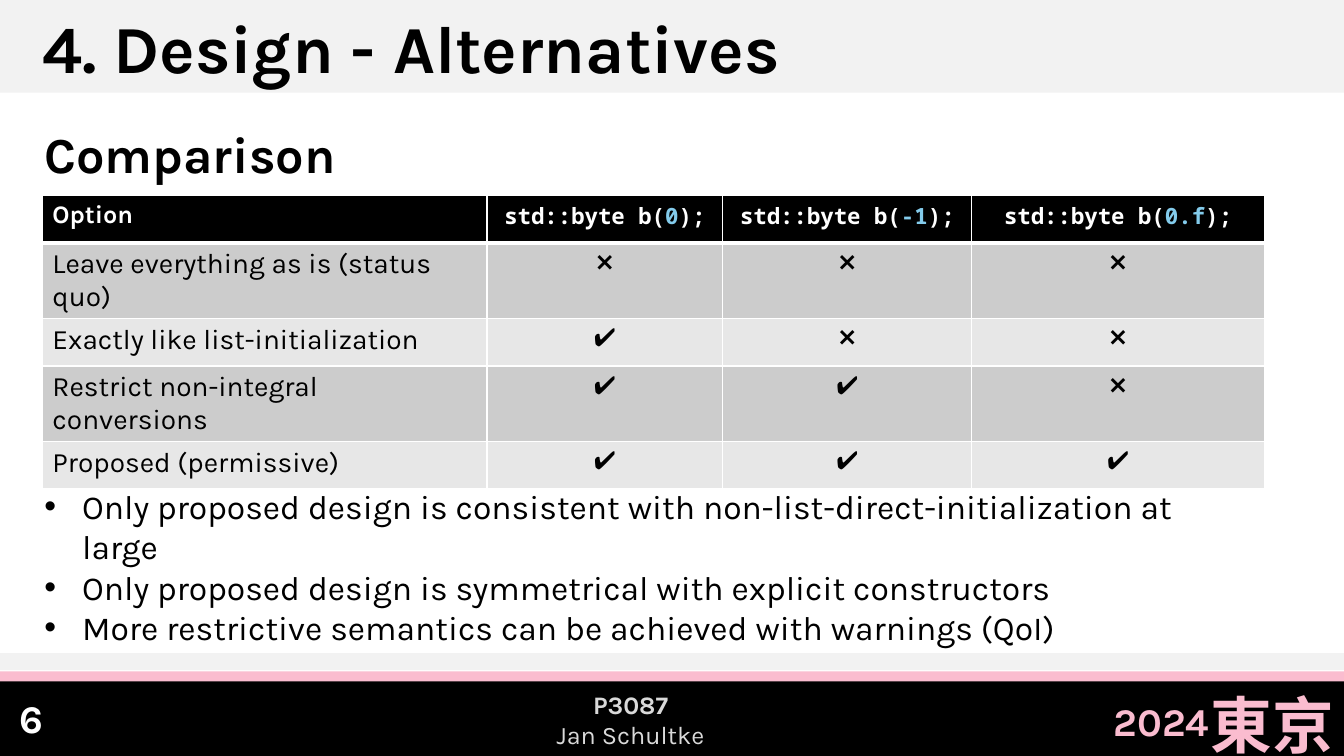
from lxml import etree
from pptx import Presentation
from pptx.dml.color import RGBColor
from pptx.enum.shapes import MSO_SHAPE
from pptx.enum.text import MSO_ANCHOR, MSO_AUTO_SIZE, PP_ALIGN
from pptx.oxml.ns import qn
from pptx.util import Inches, Pt

RECT = MSO_SHAPE.RECTANGLE
TOP, MID = MSO_ANCHOR.TOP, MSO_ANCHOR.MIDDLE
LEFT, MID_H, RIGHT = PP_ALIGN.LEFT, PP_ALIGN.CENTER, PP_ALIGN.RIGHT
FIXED = MSO_AUTO_SIZE.NONE

WIDE, HIGH = Inches(13.33), Inches(7.5)
SANS, MONO = "Karla", "Noto Sans Mono"
HUES = {
    "black": "000000", "white": "FFFFFF", "pink": "FABCCF", "pale": "F2F2F2",
    "dim": "D9D9D9", "sky": "83CBEB", "odd": "CCCCCC", "even": "E7E7E7",
}
NO, YES = "❌", "✔️"

# Bands as (hue, top, height), in percent of the slide height
BANDS = [("pale", 0, 12.27), ("black", 90, 10),
         ("pink", 88.8, 1.33), ("pale", 86.4, 2.27)]

# Table columns and rows, in percent of the slide
COLS = [33.08, 17.55, 18.53, 21.76]
ROW = 6.27
VALUES = ["0", "-1", "0.f"]
OPTIONS = [
    ("Leave everything as is (status quo)", 0),
    ("Exactly like list-initialization", 1),
    ("Restrict non-integral conversions", 2),
    ("Proposed (permissive)", 3),
]
POINTS = [
    "Only proposed design is consistent with non-list-direct-initialization at large",
    "Only proposed design is symmetrical with explicit constructors",
    "More restrictive semantics can be achieved with warnings (QoI)",
]


def hue(name):
    return RGBColor.from_string(HUES[name])


def span(x, y, w, h):
    """Turn percent of the slide into lengths."""
    return [round(side * part / 100)
            for side, part in zip((WIDE, HIGH, WIDE, HIGH), (x, y, w, h))]


def add_run(para, text, size, color="black", bold=False, name=SANS):
    run = para.add_run()
    run.text = text
    look = {"name": name, "size": Pt(size), "bold": bold}
    for key, value in look.items():
        setattr(run.font, key, value)
    run.font.color.rgb = hue(color)


def fill_text(frame, lines, align=LEFT, anchor=TOP):
    """Each line is a dict of run values."""
    look = {"word_wrap": True, "auto_size": FIXED, "vertical_anchor": anchor}
    for key, value in look.items():
        setattr(frame, key, value)
    for i, line in enumerate(lines):
        para = frame.add_paragraph() if i else frame.paragraphs[0]
        para.alignment, para.space_before = align, Pt(0)
        add_run(para, **line)


def add_text(slide, box, lines, **kind):
    fill_text(slide.shapes.add_textbox(*span(*box)).text_frame, lines, **kind)


def fill_holder(holder, box, lines):
    sides = ("left", "top", "width", "height")
    for key, value in zip(sides, span(*box)):
        setattr(holder, key, value)
    fill_text(holder.text_frame, lines)


def add_band(slide, color, top, height):
    band = slide.shapes.add_shape(RECT, *span(0, top, 100, height))
    band.shadow.inherit = False
    band.fill.solid()
    band.fill.fore_color.rgb = hue(color)
    band.line.fill.background()


def add_edges(cell, row):
    """Draw white cell borders, thick below the header."""
    widths = {"lnL": 1, "lnR": 1, "lnT": 3 if row == 1 else 1,
              "lnB": 1 if row else 3}
    props = cell._tc.get_or_add_tcPr()
    for i, (tag, width) in enumerate(widths.items()):
        edge = etree.Element(qn("a:" + tag), w=str(Pt(width)))
        solid = etree.SubElement(edge, qn("a:solidFill"))
        etree.SubElement(solid, qn("a:srgbClr"), val=HUES["white"])
        props.insert(i, edge)


def set_cell(table, row, col, runs):
    cell = table.cell(row, col)
    cell.fill.solid()
    shade = ("odd" if row % 2 else "even") if row else "black"
    cell.fill.fore_color.rgb = hue(shade)
    add_edges(cell, row)
    para = cell.text_frame.paragraphs[0]
    para.alignment = MID_H if col else LEFT
    for run in runs:
        add_run(para, **run)


def add_grid(slide):
    count = len(OPTIONS) + 1
    box = span(3.15, 25.87, sum(COLS), ROW * count)
    table = slide.shapes.add_table(count, len(COLS), *box).table
    for col, share in zip(table.columns, COLS):
        col.width = round(WIDE * share / 100)

    # Header
    set_cell(table, 0, 0, [dict(text="Option", size=18, color="white", bold=True)])
    for col, value in enumerate(VALUES, 1):
        parts = [("std::byte b(", "white"), (value, "sky"), (");", "white")]
        set_cell(table, 0, col, [
            dict(text=text, size=16, color=color, bold=True, name=MONO)
            for text, color in parts])

    # Options, with the number of leading check marks
    for row, (label, marks) in enumerate(OPTIONS, 1):
        set_cell(table, row, 0, [dict(text=label, size=20)])
        for col in range(1, len(COLS)):
            mark = YES if col <= marks else NO
            set_cell(table, row, col, [dict(text=mark, size=18)])


def main():
    deck = Presentation()
    deck.slide_width, deck.slide_height = WIDE, HIGH
    slide = deck.slides.add_slide(deck.slide_layouts[1])
    title, body = slide.placeholders

    # Bands lie behind the title and list
    for band in BANDS:
        add_band(slide, *band)
    for holder in (title, body):
        slide.shapes._spTree.append(holder._element)

    # Footer
    add_text(slide, (88.9, 90.13, 11.1, 11.2),
             [dict(text="東京", size=44, color="pink", bold=True)],
             align=RIGHT, anchor=MID)
    add_text(slide, (78.77, 91.6, 11.93, 7.6),
             [dict(text="2024", size=28, color="pink", bold=True)], align=RIGHT)
    add_text(slide, (0.75, 92.27, 3.38, 5.33),
             [dict(text="6", size=28, color="white", bold=True)], anchor=MID)
    add_text(slide, (10.95, 90.53, 71.94, 9.47),
             [dict(text="P3087", size=18, color="dim", bold=True),
              dict(text="Jan Schultke", size=18, color="dim")], align=MID_H)

    # Title, heading, list and table
    fill_holder(title, (2.4, 0.13, 86.57, 12.13),
                [dict(text="4. Design - Alternatives", size=48, bold=True)])
    add_text(slide, (2.55, 15.6, 87.62, 9),
             [dict(text="Comparison", size=36, bold=True)])
    fill_holder(body, (2.55, 63.6, 87.62, 23.3),
                [dict(text=point, size=24) for point in POINTS])
    add_grid(slide)
    deck.save("out.pptx")


if __name__ == "__main__":
    main()
